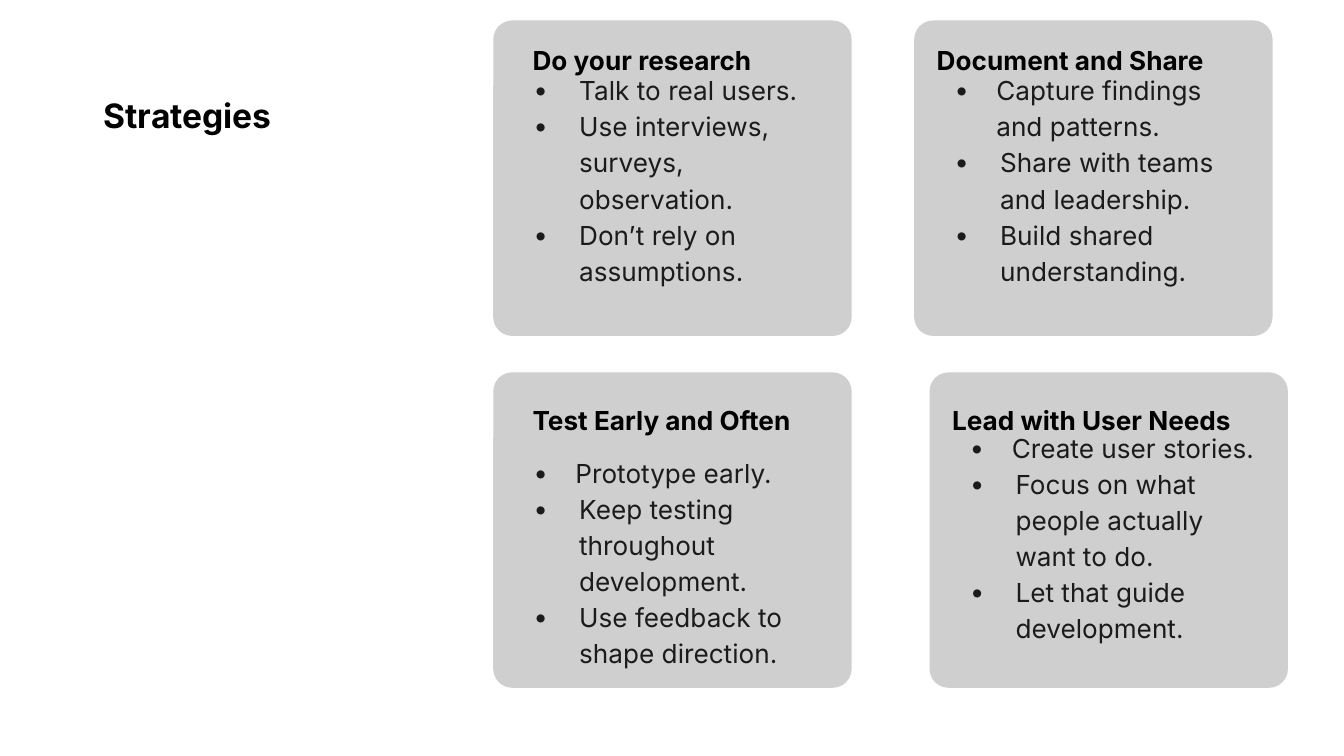
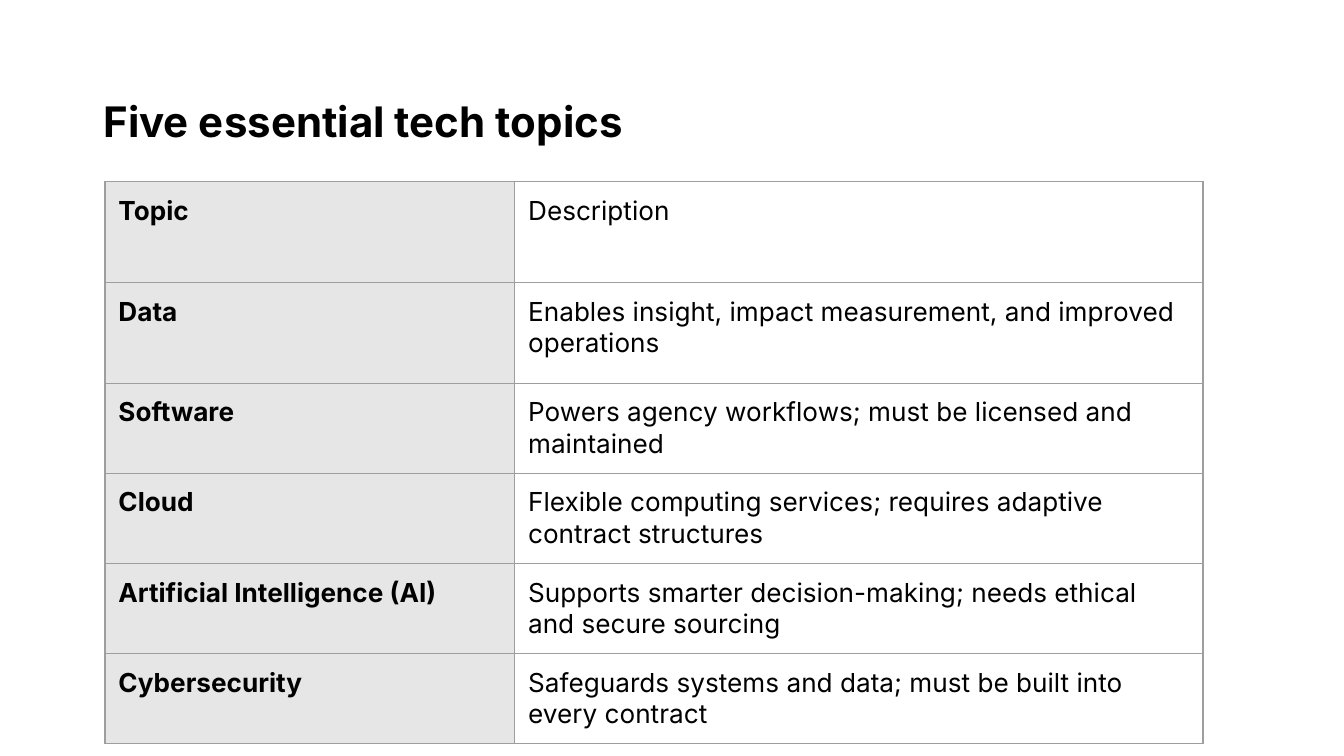
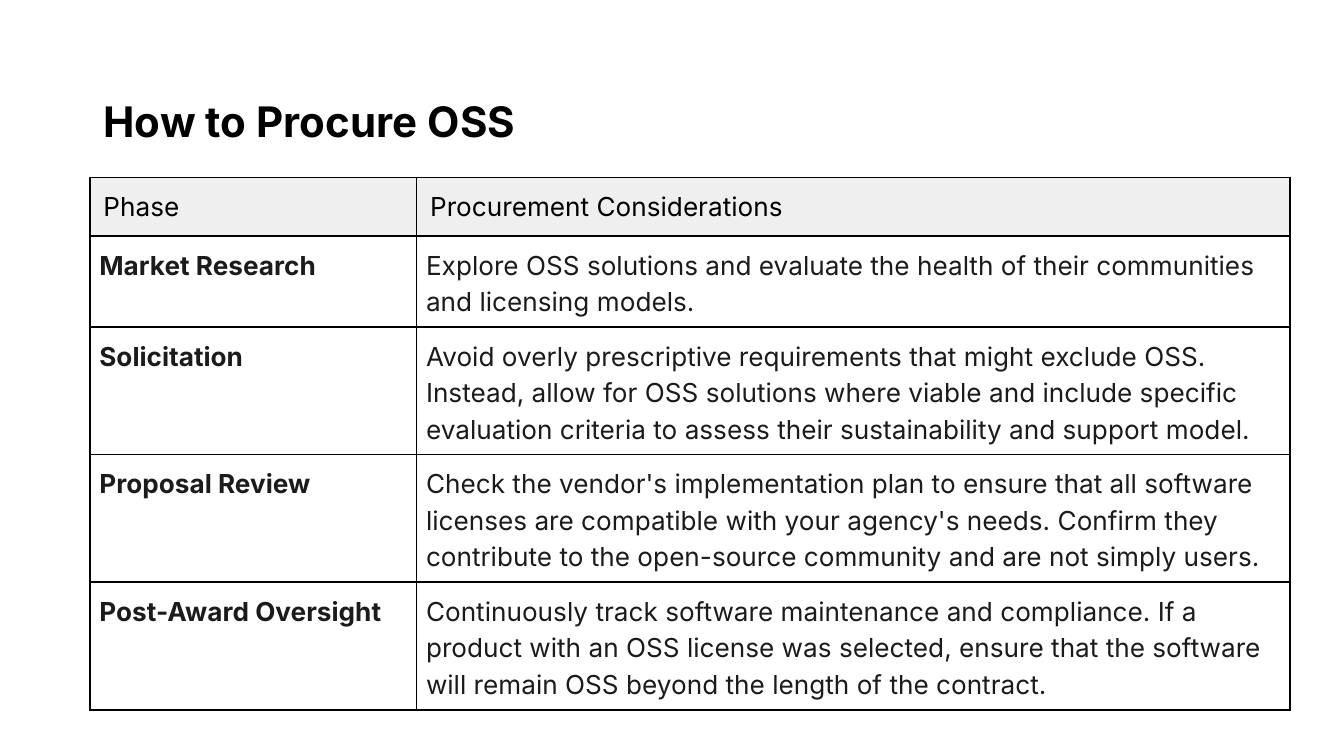
"""Build three slides on user research strategies, tech topics and OSS procurement."""
from dataclasses import dataclass

from lxml import etree
from pptx import Presentation
from pptx.dml.color import RGBColor
from pptx.enum import shapes, text
from pptx.oxml import ns
from pptx.util import Pt


@dataclass(frozen=True)
class Theme:
    font: str = "Inter"
    black: str = "000000"
    ink: str = "1B1B1B"
    card: str = "CFCFCF"
    topic_fill: str = "E7E6E6"
    header_fill: str = "EFEFEF"
    grey_line: str = "9E9E9E"
    small_title: float = 18
    title: float = 22.5
    body: float = 14


th = Theme()


def add_run(p, words, size=th.body, color=th.black, bold=False):
    r = p.add_run()
    r.text = words
    r.font.name = th.font
    r.font.size = Pt(size)
    r.font.bold = bold
    r.font.color.rgb = RGBColor.from_string(color)


def add_child(parent, tag, **attrs):
    return etree.SubElement(parent, ns.qn(tag), attrs)


prs = Presentation()
prs.slide_width, prs.slide_height = Pt(720), Pt(405)

titles = [
    ("Strategies", th.small_title, 49, 204.5, 21.5),
    ("Five essential tech topics", th.title, 48.25, 302.5, 27.5),
    ("How to Procure OSS", th.title, 48.25, 302.5, 27.5),
]
slides = []
for words, size, top, width, height in titles:
    s = prs.slides.add_slide(prs.slide_layouts[5])
    sp = s.shapes.title
    sp.left, sp.top, sp.width, sp.height = Pt(48.25), Pt(top), Pt(width), Pt(height)
    tf = sp.text_frame
    tf.auto_size = text.MSO_AUTO_SIZE.NONE
    tf.vertical_anchor = text.MSO_ANCHOR.MIDDLE
    p = tf.paragraphs[0]
    p.alignment = text.PP_ALIGN.LEFT
    p.line_spacing = 1.2
    add_run(p, words, size, bold=True)
    slides.append(s)

middle, bottom = text.MSO_ANCHOR.MIDDLE, text.MSO_ANCHOR.BOTTOM
card_w, card_h, bullet_x = 192, 169, 11.5
cards = [
    ("Do your research", 264.25, 11, 14, 9.25, middle, 7.2, 36,
     ["Talk to real users.", "Use interviews, surveys, observation.",
      "Don’t rely on assumptions."]),
    ("Document and Share", 489.75, 11, 5, 9.25, middle, 7.2, 34,
     ["Capture findings and patterns.", "Share with teams and leadership.",
      "Build shared understanding."]),
    ("Test Early and Often", 264.25, 199.5, 14, 13.75, bottom, 7.2, 34,
     ["Prototype early.", "Keep testing throughout development.",
      "Use feedback to shape direction."]),
    ("Lead with User Needs", 498, 199.5, 5, 13.75, middle, 13.2, 34,
     ["Create user stories.", "Focus on what people actually want to do.",
      "Let that guide development."]),
]
for heading, left, top, dx, dy, anchor, inset, first_indent, points in cards:
    grp = slides[0].shapes.add_group_shape()
    sp = grp.shapes.add_shape(shapes.MSO_SHAPE.ROUNDED_RECTANGLE,
                              Pt(left), Pt(top), Pt(card_w), Pt(card_h))
    sp.adjustments[0] = 0.06
    sp.shadow.inherit = False
    sp.fill.solid()
    sp.fill.fore_color.rgb = RGBColor.from_string(th.card)
    sp.line.fill.background()
    tf = sp.text_frame
    tf.word_wrap = True
    tf.vertical_anchor = anchor
    tf.margin_left = tf.margin_right = tf.margin_bottom = Pt(7.2)
    tf.margin_top = Pt(inset)
    for i, point in enumerate(points):
        p = tf.paragraphs[0] if i == 0 else tf.add_paragraph()
        indent = first_indent if i == 0 else 36
        pPr = p._p.get_or_add_pPr()
        pPr.set("marL", str(Pt(indent)))
        pPr.set("indent", str(Pt(bullet_x - indent)))
        add_child(add_child(pPr, "a:buClr"), "a:srgbClr", val=th.ink)
        add_child(pPr, "a:buFont", typeface=th.font)
        add_child(pPr, "a:buChar", char="•")
        p.alignment = text.PP_ALIGN.LEFT
        p.line_spacing = 1.15
        add_run(p, point, color=th.ink)

    sp = grp.shapes.add_textbox(Pt(left + dx), Pt(top + dy), Pt(194), Pt(18))
    tf = sp.text_frame
    tf.word_wrap = True
    tf.vertical_anchor = middle
    p = tf.paragraphs[0]
    p.line_spacing = 1.32
    add_run(p, heading, bold=True)

topics = [
    ("Topic", "Description"),
    ("Data", "Enables insight, impact measurement, and improved operations"),
    ("Software", "Powers agency workflows; must be licensed and maintained"),
    ("Cloud", "Flexible computing services; requires adaptive contract structures"),
    ("Artificial Intelligence (AI)",
     "Supports smarter decision-making; needs ethical and secure sourcing"),
    ("Cybersecurity", "Safeguards systems and data; must be built into every contract"),
]
phases = [
    ("Phase", "Procurement Considerations"),
    ("Market Research",
     "Explore OSS solutions and evaluate the health of their communities and "
     "licensing models."),
    ("Solicitation",
     "Avoid overly prescriptive requirements that might exclude OSS. Instead, allow "
     "for OSS solutions where viable and include specific evaluation criteria to "
     "assess their sustainability and support model."),
    ("Proposal Review",
     "Check the vendor's implementation plan to ensure that all software licenses are "
     "compatible with your agency's needs. Confirm they contribute to the open-source "
     "community and are not simply users."),
    ("Post-Award Oversight",
     "Continuously track software maintenance and compliance. If a product with an OSS "
     "license was selected, ensure that the software will remain OSS beyond the length "
     "of the contract."),
]
tables = [
    (slides[1], topics, 56.25, 97.25, (219.5, 368.75), [54] * 2 + [48] * 4,
     th.grey_line, 0.75, False),
    (slides[2], phases, 48.25, 95, (175, 468), [30.25, 47.5] + [66.75] * 3,
     th.black, 1, True),
]
for s, rows, left, top, widths, heights, line, weight, header_band in tables:
    tbl = s.shapes.add_table(len(rows), 2, Pt(left), Pt(top),
                             Pt(sum(widths)), Pt(sum(heights))).table
    tbl.first_row = tbl.horz_banding = False
    for column, width in zip(tbl.columns, widths):
        column.width = Pt(width)
    for i, row in enumerate(rows):
        tbl.rows[i].height = Pt(heights[i])
        for j, words in enumerate(row):
            cell = tbl.cell(i, j)
            phase_body = header_band and i > 0
            inset = Pt(5 if phase_body else 7.2)
            cell.margin_left = cell.margin_right = inset
            cell.margin_top = cell.margin_bottom = inset
            tcPr = cell._tc.get_or_add_tcPr()
            for side in ("a:lnL", "a:lnR", "a:lnT", "a:lnB"):
                ln = add_child(tcPr, side, w=str(Pt(weight)))
                add_child(add_child(ln, "a:solidFill"), "a:srgbClr", val=line)
            shaded = i == 0 if header_band else j == 0
            if shaded:
                cell.fill.solid()
                cell.fill.fore_color.rgb = RGBColor.from_string(
                    th.header_fill if header_band else th.topic_fill)
            else:
                cell.fill.background()
            p = cell.text_frame.paragraphs[0]
            if phase_body:
                p.line_spacing = 1.15
            add_run(p, words, color=th.ink if phase_body else th.black,
                    bold=j == 0 and (phase_body or not header_band))

prs.save("out.pptx")
